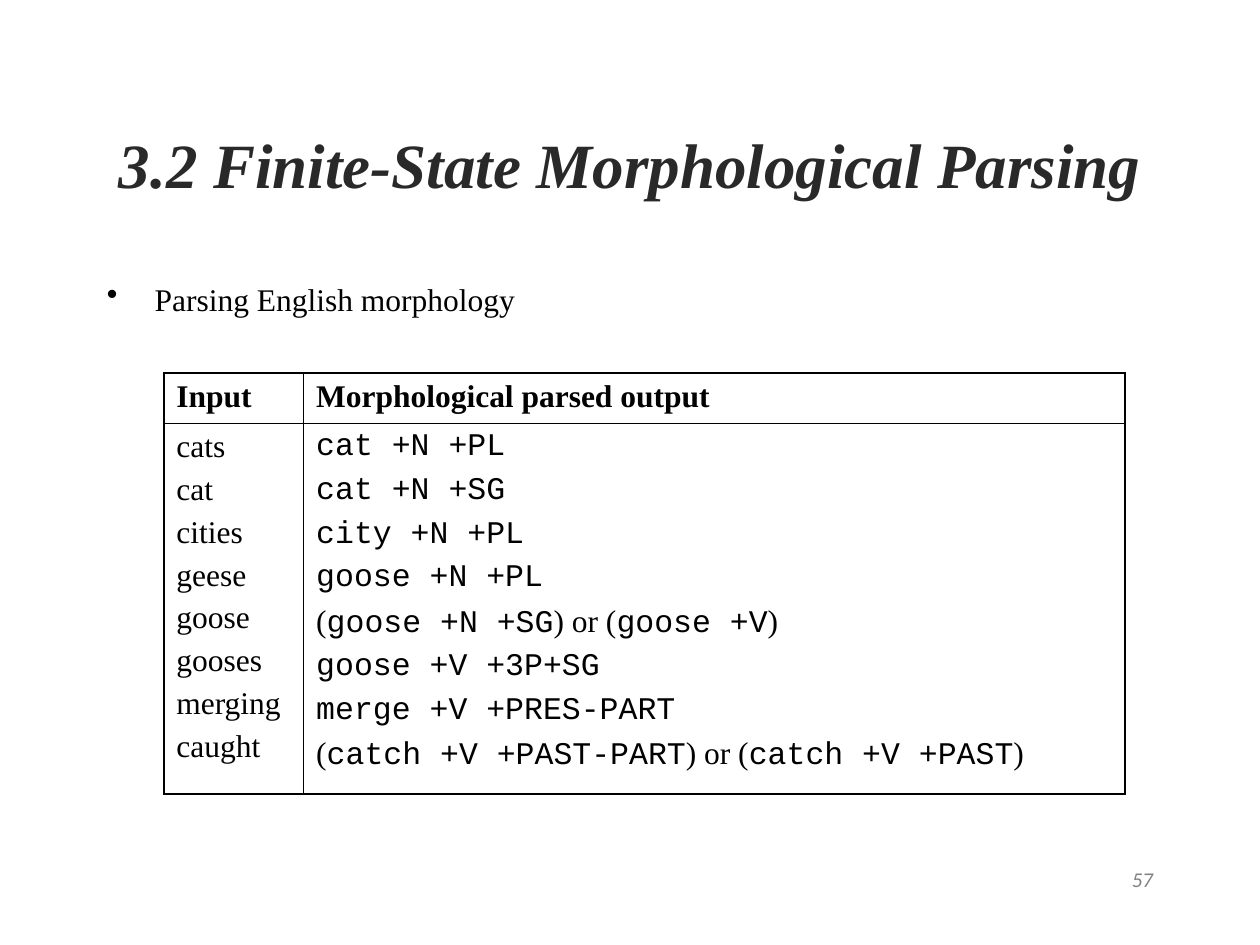
from lxml.etree import SubElement
from pptx import Presentation
from pptx.dml.color import RGBColor
from pptx.enum.text import MSO_ANCHOR, MSO_AUTO_SIZE, PP_ALIGN
from pptx.oxml.ns import qn
from pptx.util import Inches, Pt

COLORS = {"title": "292929", "text": "000000", "number": "808080"}
SERIF, MONO = "Times New Roman", "Courier New"
INPUTS = ["cats", "cat", "cities", "geese", "goose", "gooses", "merging", "caught"]
# Pieces between bars alternate between serif and monospaced type.
OUTPUTS = [
    "|cat +N +PL",
    "|cat +N +SG",
    "|city +N +PL",
    "|goose +N +PL",
    "(|goose +N +SG|) or (|goose +V|)",
    "|goose +V +3P+SG",
    "|merge +V +PRES-PART",
    "(|catch +V +PAST-PART|) or (|catch +V +PAST|)",
]


def set_font(font, size, color, name=SERIF, bold=False, italic=False):
    font.name, font.size, font.bold, font.italic = name, Pt(size), bold, italic
    font.color.rgb = RGBColor.from_string(COLORS[color])


def set_borders(cell, widths):
    """Draw the left, right, top and bottom edges with widths in points."""
    tc_pr = cell._tc.get_or_add_tcPr()
    for i, (edge, width) in enumerate(zip(("lnL", "lnR", "lnT", "lnB"), widths)):
        ln = tc_pr.makeelement(qn(f"a:{edge}"), {"w": str(Pt(width))})
        fill = SubElement(ln, qn("a:solidFill"))
        SubElement(fill, qn("a:srgbClr"), val=COLORS["text"])
        tc_pr.insert(i, ln)


prs = Presentation()
prs.slide_width, prs.slide_height = Inches(10), Inches(7.5)
s = prs.slides.add_slide(prs.slide_layouts[5])

# Title
title = s.shapes.title
title.left, title.top = Inches(0.75), Inches(0.67)
title.width, title.height = Inches(8.5), Inches(1.25)
tf = title.text_frame
tf.text = "3.2 Finite-State Morphological Parsing"
tf.auto_size = MSO_AUTO_SIZE.NONE
tf.vertical_anchor = MSO_ANCHOR.MIDDLE
p = tf.paragraphs[0]
p.alignment = PP_ALIGN.CENTER
set_font(p.font, 36, "title", bold=True, italic=True)

# Bullet
body = s.shapes.add_textbox(Inches(0.75), Inches(2.17), Inches(4.17), Inches(4.5))
tf = body.text_frame
tf.word_wrap = True
p = tf.paragraphs[0]
p.text = "Parsing English morphology"
p_pr = p._p.get_or_add_pPr()
p_pr.set("marL", str(Inches(0.38)))
p_pr.set("indent", str(Inches(-0.38)))
SubElement(p_pr, qn("a:buChar"), char="•")
set_font(p.font, 18, "text")

# Table
col_widths, row_heights = (1.11, 6.52), (0.4, 2.94)
frame = s.shapes.add_table(2, 2, Inches(1.3), Inches(2.96),
                           Inches(sum(col_widths)), Inches(sum(row_heights)))
table = frame.table
for column, width in zip(table.columns, col_widths):
    column.width = Inches(width)
for row, height in zip(table.rows, row_heights):
    row.height = Inches(height)

outer, inner = 1.08, 0.45
contents = [[["Input"], ["Morphological parsed output"]], [INPUTS, OUTPUTS]]
for r, row in enumerate(contents):
    for c, lines in enumerate(row):
        cell = table.cell(r, c)
        cell.fill.background()
        set_borders(cell, (inner if c else outer, outer if c else inner,
                           inner if r else outer, outer if r else inner))
        tf = cell.text_frame
        for i, line in enumerate(lines):
            p = tf.add_paragraph() if i else tf.paragraphs[0]
            if i:
                p.space_before = Pt(4.5)
            for k, piece in enumerate(line.split("|")):
                if piece:
                    run = p.add_run()
                    run.text = piece
                    set_font(run.font, 18, "text", MONO if k % 2 else SERIF, bold=r == 0)

# Slide number
number = s.shapes.add_textbox(Inches(7.17), Inches(6.83), Inches(2.08), Inches(0.5))
tf = number.text_frame
tf.word_wrap = True
p = tf.paragraphs[0]
p.text = "57"
p.alignment = PP_ALIGN.RIGHT
set_font(p.font, 12, "number", "Calibri", italic=True)

prs.save("out.pptx")
